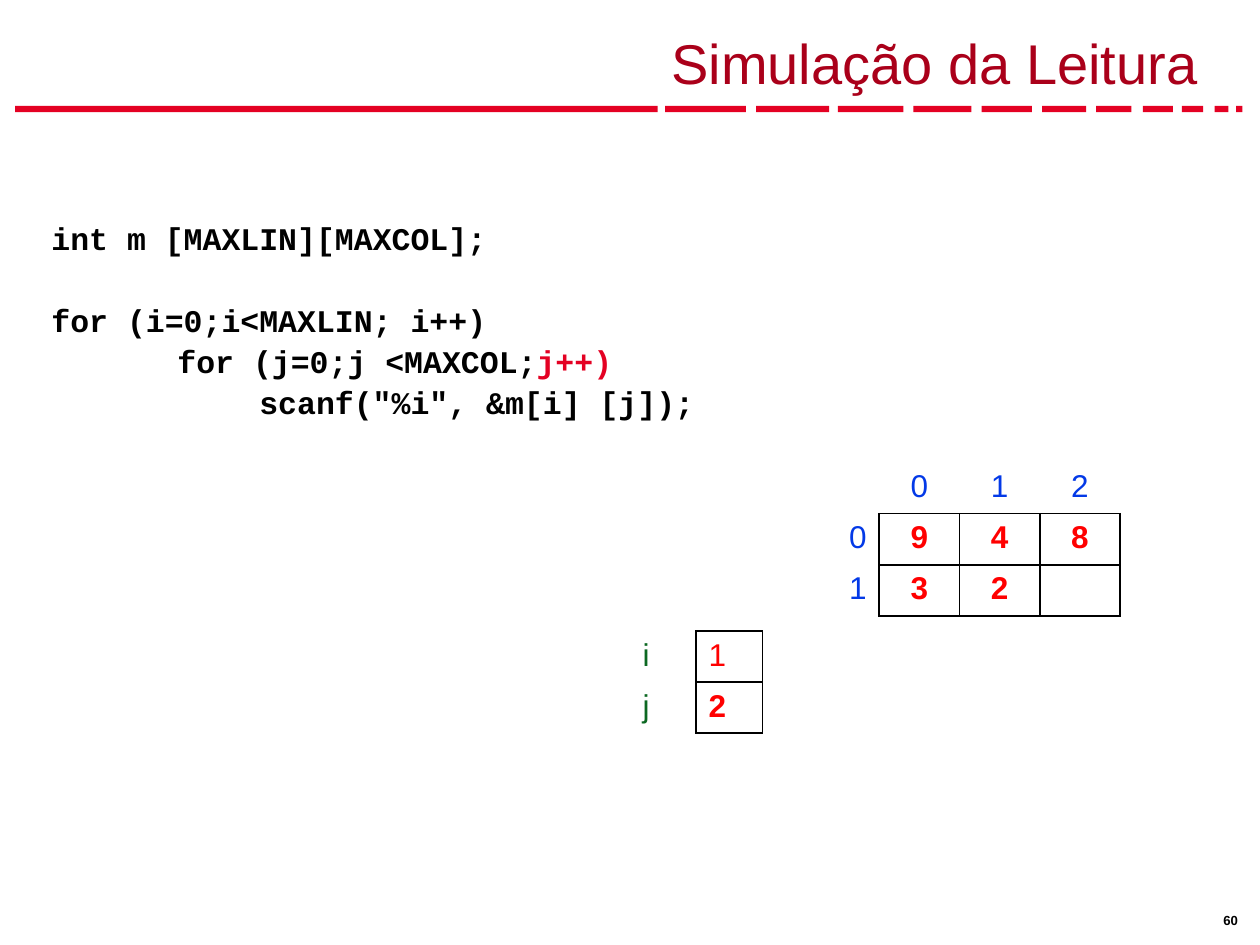
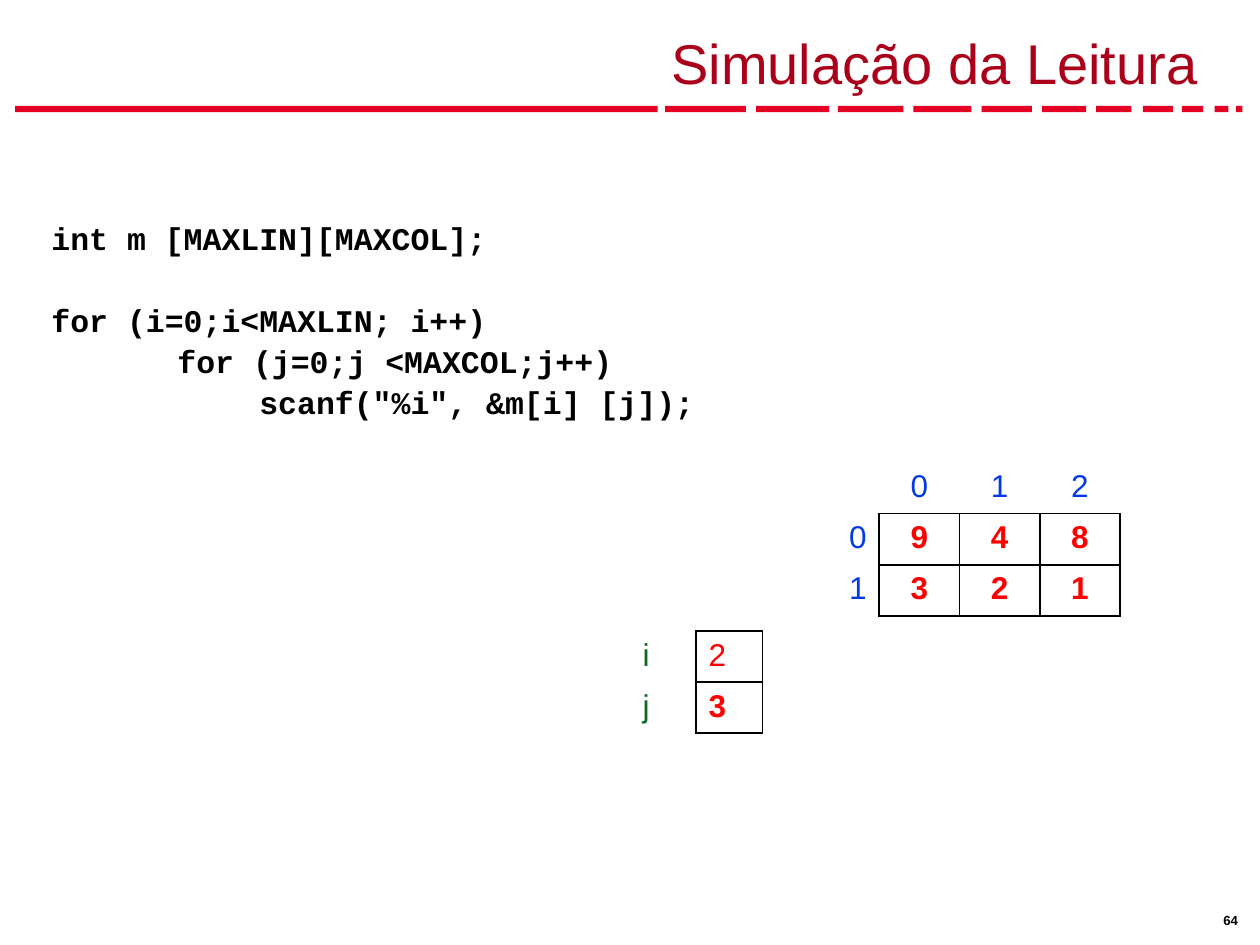
"""Build two slides that simulate reading a matrix with nested loops."""
import dataclasses

import pptx
import pptx.dml.color
import pptx.enum.shapes
import pptx.enum.text
import pptx.oxml.ns
import pptx.util
from lxml import etree

Inches = pptx.util.Inches
Pt = pptx.util.Pt
Align = pptx.enum.text.PP_ALIGN


@dataclasses.dataclass(frozen=True)
class Theme:
    title: str = "AA001A"
    accent: str = "E40123"
    ink: str = "000000"
    paper: str = "FFFFFF"
    index: str = "0339E7"
    value: str = "FF0000"
    variable: str = "0C6822"
    font: str = "Arial"
    code_font: str = "Courier New"
    title_size: float = 32
    body_size: float = 18
    number_size: float = 7.5
    code_pitch: float = 23.4


theme = Theme()


def write(paragraph, text, color=theme.ink, size=theme.body_size, font=theme.font,
          bold=False, align=Align.LEFT):
    """Append a formatted run to a paragraph."""
    paragraph.alignment = align
    run = paragraph.add_run()
    run.text = text
    run.font.name = font
    run.font.size = Pt(size)
    run.font.bold = bold
    run.font.color.rgb = pptx.dml.color.RGBColor.from_string(color)


def draw_cell(cell, ruled_sides):
    """Rule the given sides of a cell in black and fill it with the paper colour."""
    properties = cell._tc.get_or_add_tcPr()
    for side in "LRTB":
        border = etree.SubElement(properties, pptx.oxml.ns.qn(f"a:ln{side}"), w=str(Pt(1)))
        if side in ruled_sides:
            solid = etree.SubElement(border, pptx.oxml.ns.qn("a:solidFill"))
            etree.SubElement(solid, pptx.oxml.ns.qn("a:srgbClr"), val=theme.ink)
        else:
            etree.SubElement(border, pptx.oxml.ns.qn("a:noFill"))
    cell.fill.solid()
    cell.fill.fore_color.rgb = pptx.dml.color.RGBColor.from_string(theme.paper)


dashes = [(0.12, 5.1), (5.28, 0.64), (6, 0.58), (6.65, 0.52), (7.25, 0.46), (7.79, 0.4),
          (8.27, 0.35), (8.7, 0.28), (9.07, 0.24), (9.38, 0.17), (9.64, 0.11), (9.81, 0.05)]

steps = [
    {"number": "60", "increment": theme.accent, "last": "", "i": "1", "j": "2"},
    {"number": "64", "increment": theme.ink, "last": "1", "i": "2", "j": "3"},
]

deck = pptx.Presentation()
deck.slide_width, deck.slide_height = Inches(10), Inches(7.5)
title_only = deck.slide_layouts[5]

for step in steps:
    slide = deck.slides.add_slide(title_only)

    band = slide.shapes.add_group_shape()
    for left, width in dashes:
        dash = band.shapes.add_shape(pptx.enum.shapes.MSO_SHAPE.RECTANGLE, Inches(left),
                                     Inches(0.84), Inches(width), Inches(0.05))
        dash.shadow.inherit = False
        dash.fill.solid()
        dash.fill.fore_color.rgb = pptx.dml.color.RGBColor.from_string(theme.accent)
        dash.line.fill.background()

    page_number = slide.shapes.add_textbox(Inches(9.63), Inches(7.2), Inches(0.33), Inches(0.2))
    frame = page_number.text_frame
    frame.margin_left = frame.margin_right = Inches(0.08)
    frame.margin_top = frame.margin_bottom = Inches(0.04)
    write(frame.paragraphs[0], step["number"], size=theme.number_size, bold=True)

    matrix = [["", "0", "1", "2"], ["0", "9", "4", "8"], ["1", "3", "2", step["last"]]]
    counters = [["i", step["i"]], ["j", step["j"]]]
    grids = [
        (matrix, (6.34, 3.67, 2.55, 1.22), 1, theme.index, Align.RIGHT, Align.CENTER),
        (counters, (5, 5.01, 1.05, 0.81), 0, theme.variable, Align.LEFT, Align.LEFT),
    ]
    for rows, place, header_rows, label_color, label_align, value_align in grids:
        grid = slide.shapes.add_table(len(rows), len(rows[0]), *map(Inches, place)).table
        grid.first_row = grid.horz_banding = False
        for r, row in enumerate(rows):
            for c, text in enumerate(row):
                cell = grid.cell(r, c)
                is_header, is_label = r < header_rows, c == 0
                is_value = not (is_header or is_label)
                if is_value:
                    sides = "LRTB"
                elif is_header:
                    sides = "" if is_label else "B"
                else:
                    sides = "R"
                draw_cell(cell, sides)
                if text:
                    write(cell.text_frame.paragraphs[0], text,
                          color=theme.value if is_value else label_color,
                          bold=is_value and r > 0,
                          align=label_align if is_label else value_align)

    title = slide.shapes.title
    title.left, title.top, title.width, title.height = map(Inches, (0.31, 0.08, 9.42, 0.73))
    frame = title.text_frame
    frame.auto_size = pptx.enum.text.MSO_AUTO_SIZE.NONE
    frame.vertical_anchor = pptx.enum.text.MSO_ANCHOR.BOTTOM
    frame.margin_right = Inches(0.22)
    write(frame.paragraphs[0], "Simulação da Leitura", color=theme.title,
          size=theme.title_size, align=Align.RIGHT)

    code = slide.shapes.add_textbox(Inches(0.31), Inches(1.01), Inches(6.28), Inches(2.71))
    frame = code.text_frame
    frame.word_wrap = True
    frame.margin_top = Inches(0.7)
    code_lines = [
        [("int m [MAXLIN][MAXCOL];", theme.ink)],
        [("for (i=0;i<MAXLIN; i++)", theme.ink)],
        [("      \tfor (j=0;j <MAXCOL;", theme.ink), ("j++)", step["increment"])],
        [("         \t scanf(\"%i\", &m[i] [j]);", theme.ink)],
    ]
    for n, code_line in enumerate(code_lines):
        paragraph = frame.add_paragraph() if n else frame.paragraphs[0]
        paragraph.line_spacing = Pt(theme.code_pitch)
        if n == 1:
            paragraph.space_before = Pt(theme.code_pitch)
        for text, color in code_line:
            write(paragraph, text, color=color, font=theme.code_font, bold=True)

deck.save("out.pptx")
